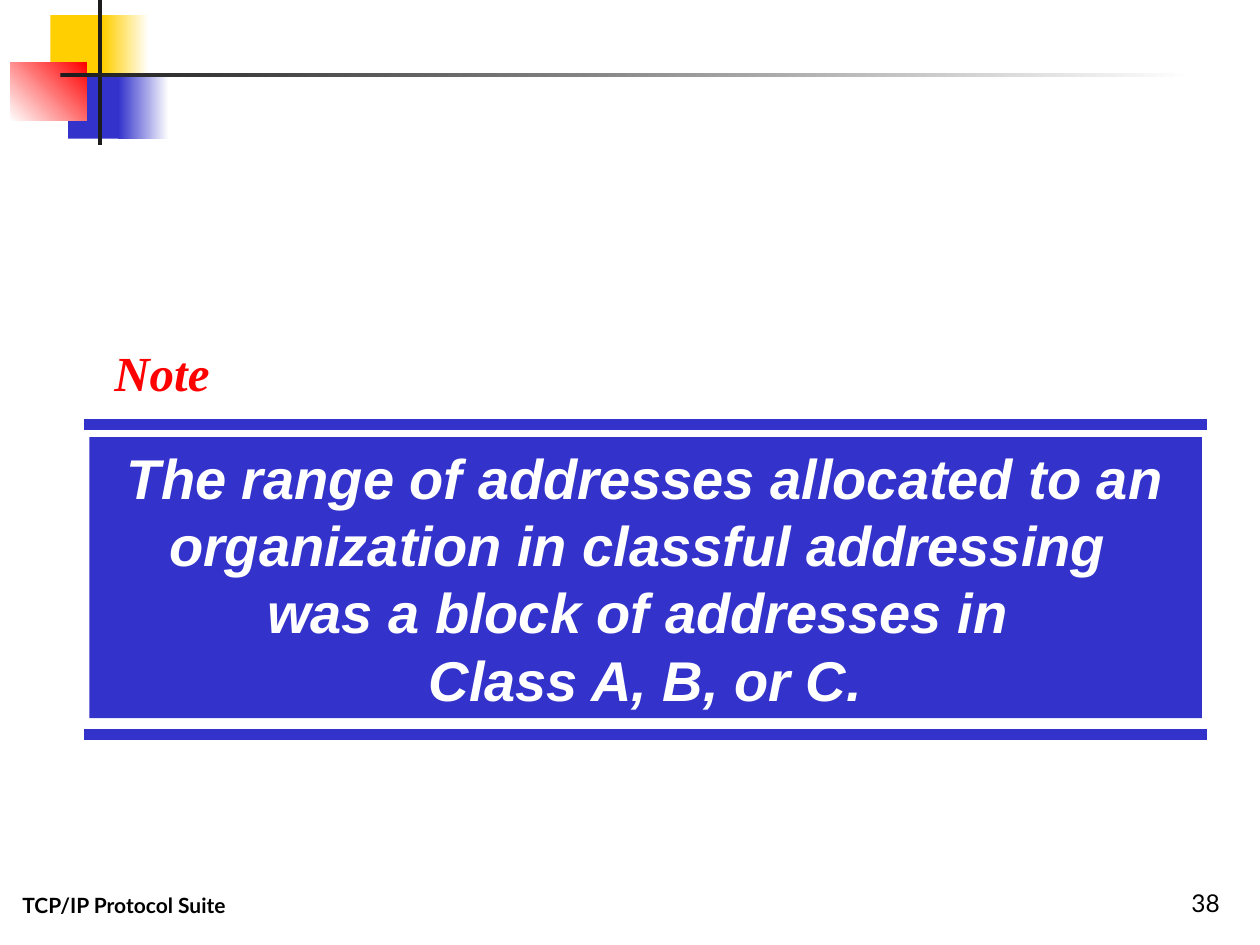
"""Build a note slide with a framed statement about classful addressing."""
from typing import NamedTuple, Optional

from lxml.etree import SubElement
from pptx import Presentation
from pptx.dml.color import RGBColor
from pptx.enum.shapes import MSO_CONNECTOR, MSO_SHAPE
from pptx.enum.text import MSO_ANCHOR, PP_ALIGN
from pptx.oxml.ns import qn
from pptx.util import Inches, Pt

WIDTH, HEIGHT = 10, 7.5
COLUMNS, ROWS = 100, 75
BLUE, YELLOW, RED = "3333CC", "FFCF01", "FF0000"
WHITE, BLACK, CHARCOAL = "FFFFFF", "000000", "1C1C1C"


class Area(NamedTuple):
    """A rectangle in grid columns and rows."""
    column: float
    row: float
    columns: float
    rows: float


class Block(NamedTuple):
    """A filled rectangle, fading to a second colour if one is given."""
    area: Area
    color: str
    fade_to: Optional[str] = None
    angle: float = 0


BLOCKS = [
    Block(Area(4, 1.2, 4.8, 5.2), YELLOW),
    Block(Area(8.2, 1.2, 3.6, 5.2), YELLOW, WHITE),
    Block(Area(5.4, 5.8, 4.6, 5.2), BLUE),
    Block(Area(9.4, 5.8, 4, 5.2), BLUE, WHITE),
    Block(Area(0.8, 5, 6.1, 4.6), WHITE, RED, 45),
    Block(Area(7.8, 0, 0.3, 11.5), CHARCOAL),
    Block(Area(4.8, 5.8, 90, 0.3), CHARCOAL, WHITE),
]
RULE_ROWS = (33.7, 58.3)
RULE_START, RULE_END = 6.7, 95.8
STATEMENT = [
    "The range of addresses allocated to an organization in classful addressing ",
    "was a block of addresses in ",
    "Class A, B, or C.",
]


def rgb(color: str) -> RGBColor:
    """Return the colour for a hex string."""
    return RGBColor.from_string(color)


def across(columns: float) -> int:
    """Return the length of a number of grid columns."""
    return Inches(columns * WIDTH / COLUMNS)


def down(rows: float) -> int:
    """Return the length of a number of grid rows."""
    return Inches(rows * HEIGHT / ROWS)


def place(area: Area) -> tuple:
    """Return left, top, width and height of an area."""
    return across(area.column), down(area.row), across(area.columns), down(area.rows)


def add_block(slide, block: Block):
    """Draw a rectangle with a solid or fading fill."""
    shape = slide.shapes.add_shape(MSO_SHAPE.RECTANGLE, *place(block.area))
    shape.shadow.inherit = False
    shape.line.fill.background()
    if block.fade_to:
        shape.fill.gradient()
        shape.fill.gradient_angle = block.angle
        for stop, color in zip(shape.fill.gradient_stops, (block.color, block.fade_to)):
            stop.color.rgb = rgb(color)
    else:
        shape.fill.solid()
        shape.fill.fore_color.rgb = rgb(block.color)
    return shape


def add_rule(slide, row: float) -> None:
    """Draw a thick horizontal rule at a grid row."""
    rule = slide.shapes.add_connector(
        MSO_CONNECTOR.STRAIGHT, across(RULE_START), down(row), across(RULE_END), down(row))
    rule.line.color.rgb = rgb(BLUE)
    rule.line.width = Pt(6)
    SubElement(rule.element.spPr, qn("a:effectLst"))


def write_text(shape, lines: list[str], *, size: float, font: str, color: str,
               bold: bool = False, italic: bool = False, wrap: bool = True,
               align=PP_ALIGN.LEFT, anchor=MSO_ANCHOR.TOP) -> None:
    """Fill a shape with one formatted paragraph per line."""
    frame = shape.text_frame
    frame.word_wrap = wrap
    frame.vertical_anchor = anchor
    frame.text = "\n".join(lines)
    for paragraph in frame.paragraphs:
        paragraph.alignment = align
        for run in paragraph.runs:
            run.font.size = Pt(size)
            run.font.name = font
            run.font.bold = bold
            run.font.italic = italic
            run.font.color.rgb = rgb(color)


def add_text(slide, area: Area, text: str, **text_format) -> None:
    """Add a text box with one formatted paragraph."""
    write_text(slide.shapes.add_textbox(*place(area)), [text], **text_format)


def main() -> None:
    """Build and save the slide."""
    presentation = Presentation()
    presentation.slide_width, presentation.slide_height = Inches(WIDTH), Inches(HEIGHT)
    slide = presentation.slides.add_slide(presentation.slide_layouts[6])

    add_text(slide, Area(0.8, 68.3, 31.7, 5), "TCP/IP Protocol Suite", size=12,
             font="Lato", color=BLACK, bold=True, anchor=MSO_ANCHOR.BOTTOM)
    add_text(slide, Area(77, 68.3, 20.8, 5), "38", size=14, font="Lato", color=BLACK,
             align=PP_ALIGN.RIGHT, anchor=MSO_ANCHOR.BOTTOM)
    for block in BLOCKS:
        add_block(slide, block)
    for row in RULE_ROWS:
        add_rule(slide, row)
    panel = add_block(slide, Block(Area(7.1, 34.7, 88.3, 22.3), BLUE))
    write_text(panel, STATEMENT, size=32, font="Arial", color=WHITE, bold=True,
               italic=True, align=PP_ALIGN.CENTER)
    add_text(slide, Area(8.1, 26.7, 9.6, 5.7), "Note", size=28, font="Times New Roman",
             color=RED, bold=True, italic=True, wrap=False)
    presentation.save("out.pptx")


if __name__ == "__main__":
    main()
